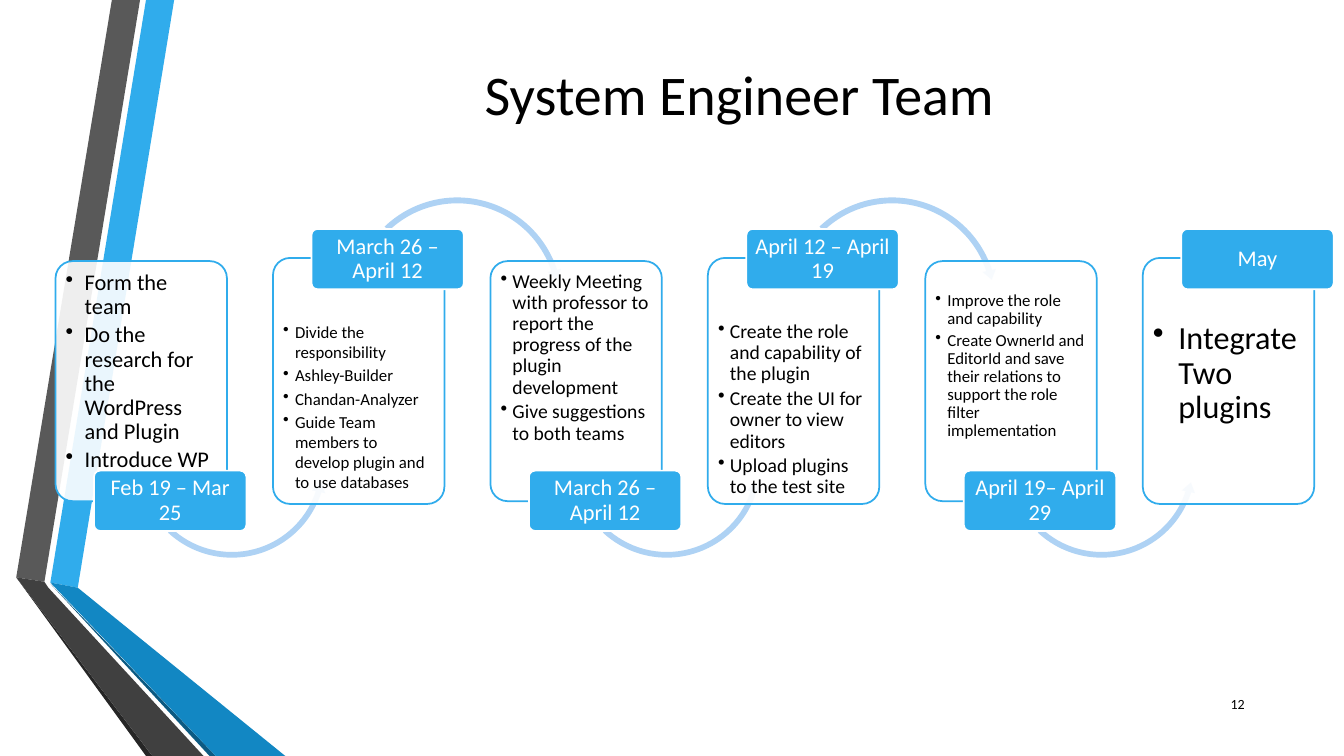
from lxml import etree
from pptx import Presentation
from pptx.dml.color import RGBColor
from pptx.enum.shapes import MSO_SHAPE
from pptx.enum.text import MSO_ANCHOR, PP_ALIGN
from pptx.oxml.ns import qn
from pptx.util import Cm, Pt

ROUND_RECT = MSO_SHAPE.ROUNDED_RECTANGLE
ARC_OVER = MSO_SHAPE.CIRCULAR_ARROW
ARC_UNDER = MSO_SHAPE.LEFT_CIRCULAR_ARROW
TOP, MIDDLE = MSO_ANCHOR.TOP, MSO_ANCHOR.MIDDLE
LEFT, CENTER, RIGHT = PP_ALIGN.LEFT, PP_ALIGN.CENTER, PP_ALIGN.RIGHT

BLUE, PALE_BLUE, WHITE, BLACK = "30ACEC", "AED2F4", "FFFFFF", "000000"

# Ribbon outlines, in hundredths of a centimetre
RIBBON = [
    (BLUE, [(127, 1468), (196, 1481), (439, 0), (368, 0)]),
    ("595959", [(353, 0), (282, 0), (41, 1455), (112, 1466)]),
    ("262626", [(41, 1455), (368, 1905), (384, 1905)]),
    ("0C5A82", [(127, 1471), (528, 1905), (544, 1905)]),
    ("1287C3", [(127, 1468), (544, 1905), (719, 1905), (196, 1481)]),
    ("404040", [(513, 1905), (122, 1481), (112, 1466), (41, 1455), (384, 1905)]),
]

# Date, text size, bullet indent (cm), line spacing, top inset (cm), bullets
STEPS = [
    ("Feb 19 – Mar 25", 16, 0.48, 0.9, 0.13,
     ["Form the team", "Do the research for the WordPress and Plugin",
      "Introduce WP"]),
    ("March 26 – April 12", 12, 0.3, 1.0, 1.48,
     ["Divide the responsibility", "Ashley-Builder", "Chandan-Analyzer",
      "Guide Team members to develop plugin and to use databases"]),
    ("March 26 – April 12", 14, 0.3, 0.9, 0.13,
     ["Weekly Meeting with professor to report the progress of the plugin "
      "development", "Give suggestions to both teams"]),
    ("April 12 – April 19", 14, 0.3, 0.9, 1.48,
     ["Create the role and capability of the plugin",
      "Create the UI for owner to view editors",
      "Upload plugins to the test site"]),
    ("April 19– April 29", 12, 0.3, 0.9, 0.66,
     ["Improve the role and capability",
      "Create OwnerId and EditorId and save their relations to support the "
      "role filter implementation"]),
    ("May", 23, 0.64, 0.9, 1.48, ["Integrate Two plugins"]),
]
FIRST_LEFT, STEP = 1.4, 5.48


def rgb(value):
    return RGBColor.from_string(value)


class TimelineSlide:
    font = "Calibri"

    def __init__(self, prs):
        self.slide = prs.slides.add_slide(prs.slide_layouts[5])
        self.shapes = self.slide.shapes

    def paint(self, sp, fill, line=None):
        sp.shadow.inherit = False
        sp.fill.solid()
        sp.fill.fore_color.rgb = rgb(fill)
        if line:
            sp.line.color.rgb = rgb(line)
            sp.line.width = Pt(1.25)
        else:
            sp.line.fill.background()

    def set_text(self, sp, lines, size, color=BLACK, align=LEFT, anchor=MIDDLE,
                 spacing=1.0, insets=(0.25, 0.13, 0.25, 0.13)):
        tf = sp.text_frame
        tf.text = "\n".join(lines)
        tf.word_wrap = True
        tf.vertical_anchor = anchor
        (tf.margin_left, tf.margin_top,
         tf.margin_right, tf.margin_bottom) = map(Cm, insets)
        for p in tf.paragraphs:
            p.alignment = align
            p.line_spacing = spacing
            for r in p.runs:
                r.font.name = self.font
                r.font.size = Pt(size)
                r.font.color.rgb = rgb(color)

    def bullets(self, sp, indent, gap):
        for p in sp.text_frame.paragraphs:
            p.space_after = Pt(gap)
            pPr = p._p.get_or_add_pPr()
            pPr.set("marL", str(Cm(indent)))
            pPr.set("indent", str(-Cm(indent)))
            etree.SubElement(pPr, qn("a:buChar")).set("char", "•")

    def title(self, text):
        sp = self.shapes.title
        sp.left, sp.top, sp.width, sp.height = map(Cm, (4.19, 0.53, 28.88, 3.61))
        self.set_text(sp, [text], 40, align=CENTER)

    def number(self, text):
        sp = self.shapes.add_textbox(*map(Cm, (30.1, 17.22, 1.52, 1.02)))
        self.set_text(sp, [text], 10, align=RIGHT)

    def outline(self, color, points):
        builder = self.shapes.build_freeform(*points[0], scale=Cm(0.01))
        builder.add_line_segments(points[1:])
        self.paint(builder.convert_to_shape(), color)

    def preset(self, kind, box, adjustments, fill, line=None):
        sp = self.shapes.add_shape(kind, *map(Cm, box))
        for i, value in enumerate(adjustments):
            sp.adjustments[i] = value
        self.paint(sp, fill, line)
        return sp

    def card(self, box, lines, size, indent, spacing, inset_top):
        sp = self.preset(ROUND_RECT, box, [0.1], WHITE, BLUE)
        fill_color = sp._element.spPr.find(qn("a:solidFill"))[0]
        etree.SubElement(fill_color, qn("a:alpha")).set("val", "90000")
        self.set_text(sp, lines, size, anchor=TOP, spacing=spacing,
                      insets=(0.13, inset_top, 0.13, 0.13))
        self.bullets(sp, indent, round(0.18 * size, 1))

    def arc(self, left, under):
        if under:
            self.preset(ARC_UNDER, (left + 1.98, 9.22, 4.93, 4.93),
                        [0.029, 3.61, 10.764, 79.643, 0.034], PALE_BLUE)
        else:
            self.preset(ARC_OVER, (left + 1.9, 4.88, 5.49, 5.49),
                        [0.027, 3.225, 205.039, 135.775, 0.031], PALE_BLUE)

    def date(self, left, top, text):
        sp = self.preset(ROUND_RECT, (left, top, 3.84, 1.52), [0.1], BLUE, WHITE)
        self.set_text(sp, [text], 16, WHITE, CENTER, spacing=0.9,
                      insets=(0.08, 0.05, 0.08, 0.05))


def main():
    prs = Presentation()
    prs.slide_width, prs.slide_height = Cm(33.87), Cm(19.05)
    s = TimelineSlide(prs)
    for color, points in RIBBON:
        s.outline(color, points)
    s.title("System Engineer Team")
    for i, (date, size, indent, spacing, inset_top, lines) in enumerate(STEPS):
        left = FIRST_LEFT + i * STEP
        date_below = i % 2 == 0
        top, height = (6.58, 6.05) if date_below else (6.5, 6.2)
        s.card((left, top, 4.32, height), lines, size, indent, spacing, inset_top)
        if i < len(STEPS) - 1:
            s.arc(left, date_below)
        s.date(left + 0.97, 11.86 if date_below else 5.77, date)
    s.number("12")
    prs.save("out.pptx")


if __name__ == "__main__":
    main()
